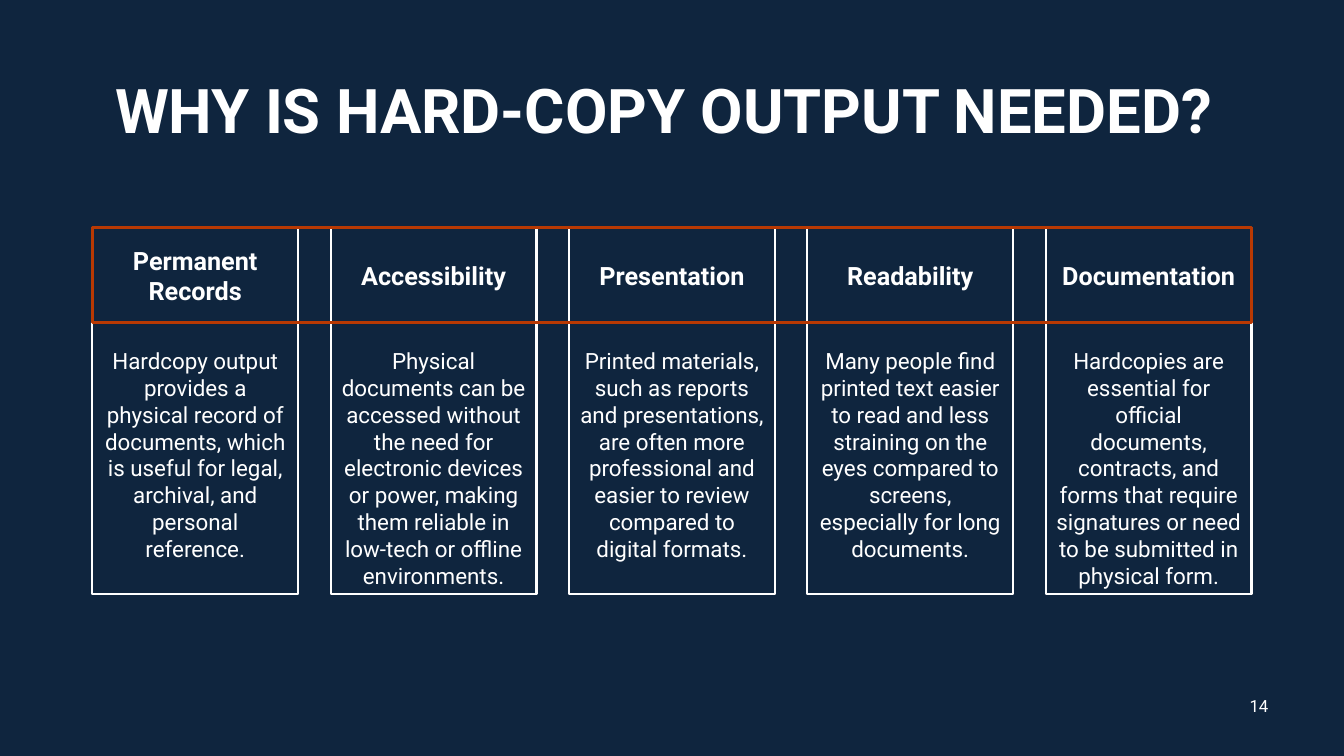
from pptx import Presentation
from pptx.dml.color import RGBColor
from pptx.enum import shapes, text
from pptx.util import Pt

COLORS = {"navy": "0F253E", "white": "FFFFFF", "rust": "B83903"}
FONT = "Roboto"
LEFT, WIDTH = 66, 828
COLUMN_WIDTH = 147
HEADER_TOP, HEADER_HEIGHT = 162.6, 68
DETAIL_TOP, DETAIL_HEIGHT = 230.6, 193.7

REASONS = [
    ("Permanent Records",
     "Hardcopy output provides a physical record of documents, which is useful "
     "for legal, archival, and personal reference."),
    ("Accessibility",
     "Physical documents can be accessed without the need for electronic devices "
     "or power, making them reliable in low-tech or offline environments."),
    ("Presentation",
     "Printed materials, such as reports and presentations, are often more "
     "professional and easier to review compared to digital formats."),
    ("Readability",
     "Many people find printed text easier to read and less straining on the "
     "eyes compared to screens, especially for long documents."),
    ("Documentation",
     "Hardcopies are essential for official documents, contracts, and forms that "
     "require signatures or need to be submitted in physical form."),
]


def write(box, words, size, bold=False, anchor=text.MSO_ANCHOR.MIDDLE):
    frame = box.text_frame
    frame.word_wrap = True
    frame.auto_size = text.MSO_AUTO_SIZE.NONE
    frame.vertical_anchor = anchor
    para = frame.paragraphs[0]
    para.alignment = text.PP_ALIGN.CENTER
    span = para.add_run()
    span.text = words
    span.font.name = FONT
    span.font.size = Pt(size)
    span.font.bold = bold
    span.font.color.rgb = RGBColor.from_string(COLORS["white"])
    return para


def add_outline(page, left, top, width, height, color, weight):
    box = page.shapes.add_shape(
        shapes.MSO_SHAPE.RECTANGLE, Pt(left), Pt(top), Pt(width), Pt(height))
    box.shadow.inherit = False
    box.fill.background()
    box.line.color.rgb = RGBColor.from_string(COLORS[color])
    box.line.width = Pt(weight)
    return box


deck = Presentation()
deck.slide_width, deck.slide_height = Pt(960), Pt(540)
page = deck.slides.add_slide(deck.slide_layouts.get_by_name("Title Only"))
page.background.fill.solid()
page.background.fill.fore_color.rgb = RGBColor.from_string(COLORS["navy"])

title = page.shapes.title
title.left, title.top, title.width, title.height = Pt(LEFT), Pt(28.8), Pt(WIDTH), Pt(104.4)
heading = write(title, "WHY IS HARD-COPY OUTPUT NEEDED? ", 44, bold=True)
heading.line_spacing = 0.9

pitch = (WIDTH - COLUMN_WIDTH) / (len(REASONS) - 1)
for index, (reason, detail) in enumerate(REASONS):
    left = LEFT + index * pitch
    header = add_outline(page, left, HEADER_TOP, COLUMN_WIDTH, HEADER_HEIGHT, "white", 1.5)
    write(header, reason, 18, bold=True)
    body = add_outline(page, left, DETAIL_TOP, COLUMN_WIDTH, DETAIL_HEIGHT, "white", 1.5)
    body.text_frame.margin_top = Pt(17.3)
    write(body, detail, 16, anchor=text.MSO_ANCHOR.TOP)

number = page.shapes.add_textbox(Pt(881.3), Pt(489.6), Pt(36), Pt(28.8))
write(number, "14", 12)

add_outline(page, LEFT, HEADER_TOP, WIDTH, HEADER_HEIGHT, "rust", 2.25)

deck.save("out.pptx")
